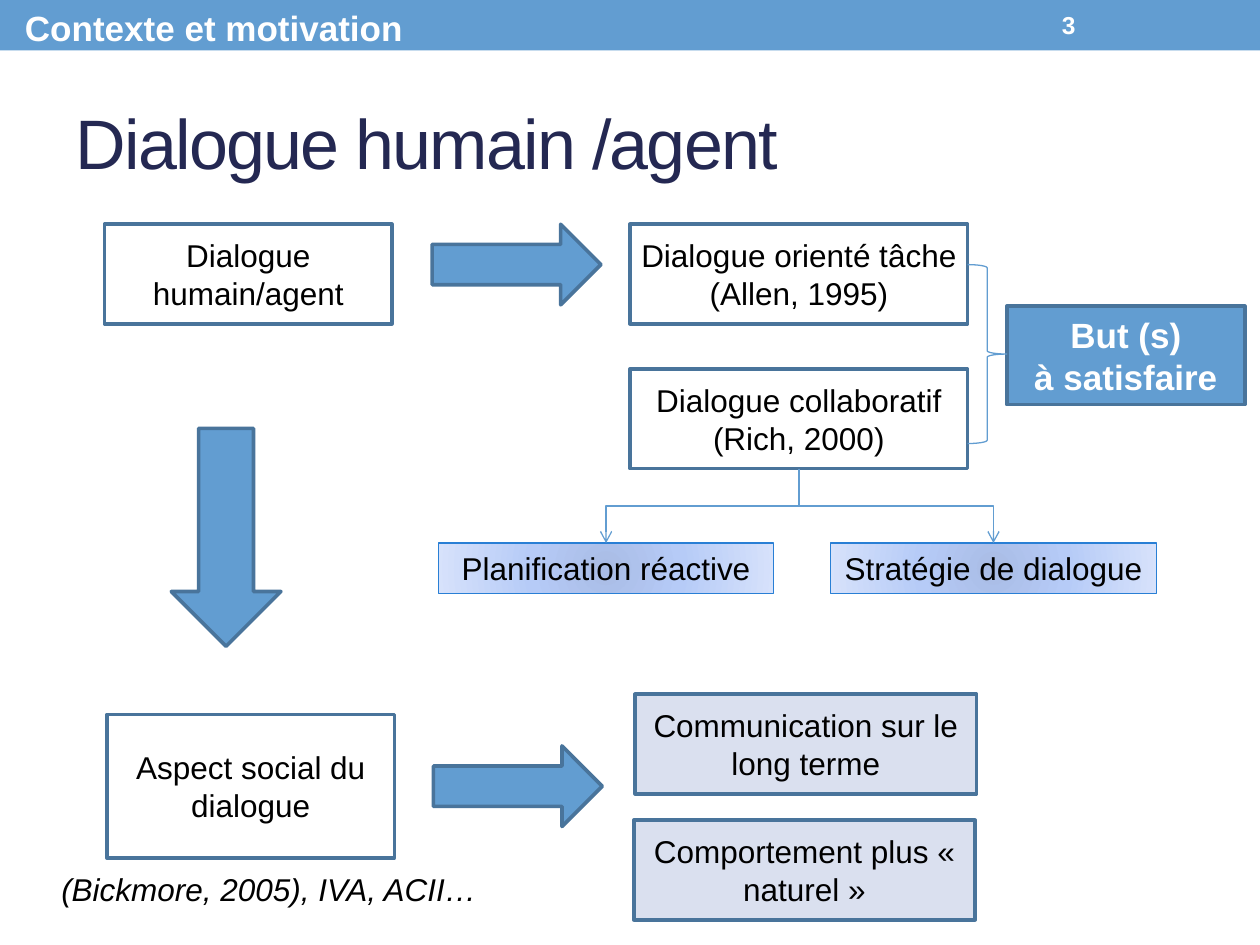
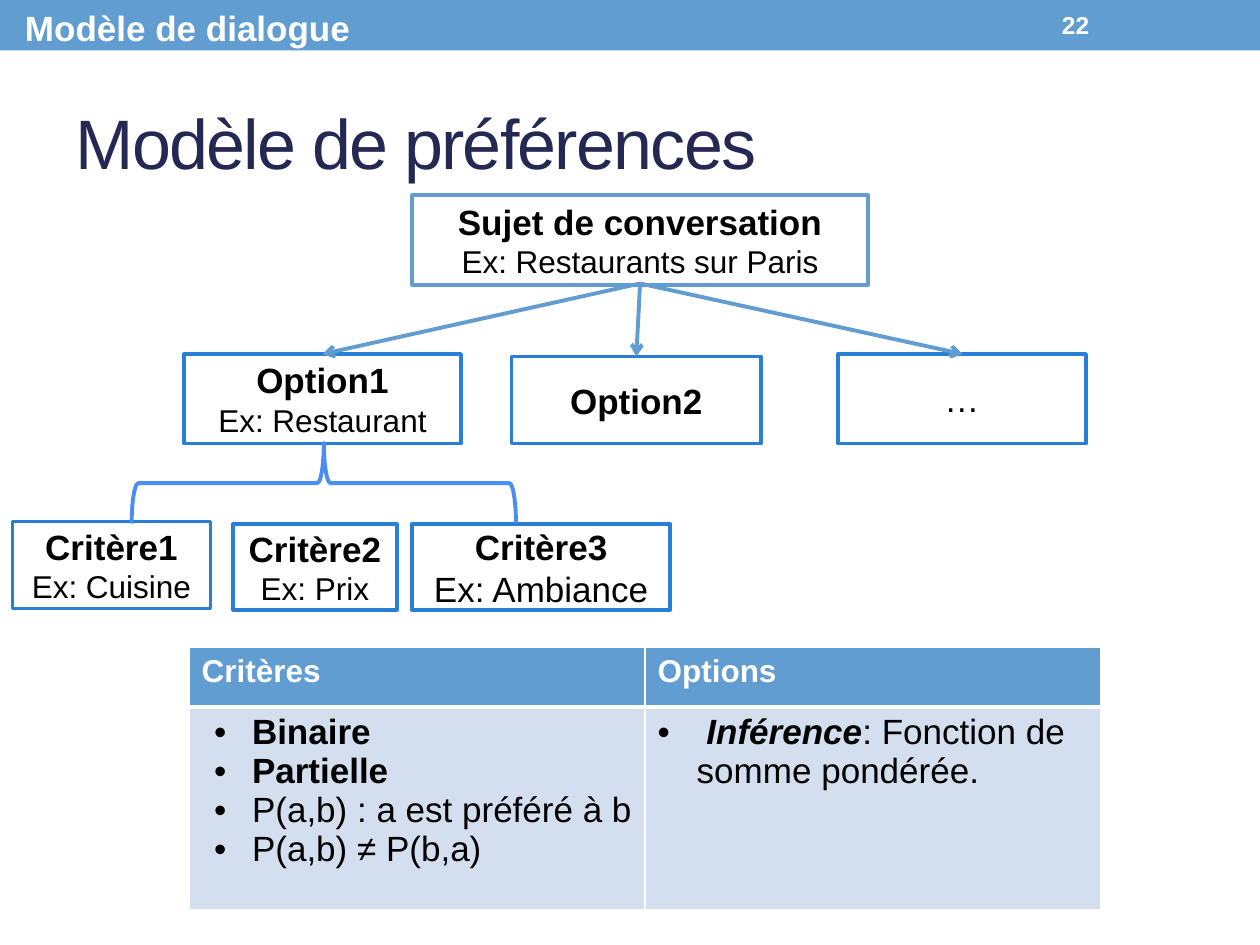
import pptx
import pptx.util
import pptx.dml.color
import pptx.enum.shapes
import pptx.enum.text
import pptx.oxml
import pptx.oxml.ns
import lxml.etree

Inches, Pt = pptx.util.Inches, pptx.util.Pt
RGB = pptx.dml.color.RGBColor.from_string
SHAPE = pptx.enum.shapes.MSO_SHAPE
LINK = pptx.enum.shapes.MSO_CONNECTOR
ALIGN, ANCHOR = pptx.enum.text.PP_ALIGN, pptx.enum.text.MSO_ANCHOR
qn = pptx.oxml.ns.qn
hue = {"blue": "629DD1", "edge": "49749B", "deep": "297FD5", "brace": "4A8EF2",
       "navy": "242852", "pale": "DAE0EF", "cell": "D3DFEE",
       "white": "FFFFFF", "black": "000000"}
FONT = "Arial"


def write(frame, rows, ink="black", align=ALIGN.CENTER):
    """Each row is (text, size, style), where style holds b and/or i."""
    frame.text = "\n".join(row[0] for row in rows)
    for para, (text, size, style) in zip(frame.paragraphs, rows):
        para.alignment = align
        for run in para.runs:
            run.font.name, run.font.size = FONT, Pt(size)
            run.font.bold, run.font.italic = "b" in style, "i" in style
            run.font.color.rgb = RGB(hue[ink])


def draw(page, kind, place, rows=(), fill=None, edge="edge", width=2.08, ink="black"):
    shape = page.shapes.add_shape(kind, *map(Inches, place))
    shape.shadow.inherit = False
    if fill:
        shape.fill.solid()
        shape.fill.fore_color.rgb = RGB(hue[fill])
    else:
        shape.fill.background()
    if edge:
        shape.line.color.rgb = RGB(hue[edge])
        shape.line.width = Pt(width)
    else:
        shape.line.fill.background()
    if rows:
        frame = shape.text_frame
        frame.word_wrap = True
        frame.vertical_anchor = ANCHOR.MIDDLE
        frame.margin_left = frame.margin_right = Inches(0.05)
        write(frame, rows, ink)
    return shape


deck = pptx.Presentation()
deck.slide_width, deck.slide_height = Inches(10), Inches(7.5)

# Shared band, section name, page number and title
pages = []
for part, number, name in [
        ("Contexte et motivation", "3", "Dialogue humain /agent"),
        ("Modèle de dialogue", "22", "Modèle de préférences")]:
    page = deck.slides.add_slide(deck.slide_layouts[5])
    pages.append(page)
    draw(page, SHAPE.RECTANGLE, (0, 0, 10, 0.4), fill="blue", edge=None)
    for text, size, place, anchor in [
            (part, 20, (0.1, 0, 3.4, 0.44), ANCHOR.TOP),
            (number, 14, (8.33, 0.02, 1.17, 0.36), ANCHOR.MIDDLE)]:
        note = page.shapes.add_textbox(*map(Inches, place)).text_frame
        note.word_wrap = True
        note.vertical_anchor = anchor
        write(note, [(text, size, "b")], "white", ALIGN.LEFT)
    title = page.shapes.title
    title.left, title.top = Inches(0.5), Inches(0.58)
    title.width, title.height = Inches(9), Inches(1.08)
    title.text_frame.vertical_anchor = ANCHOR.MIDDLE
    write(title.text_frame, [(name, 40, "")], "navy", ALIGN.LEFT)
    for run in title.text_frame.paragraphs[0].runs:
        run.font._element.set("spc", "-100")
talk, model = pages
links = []

# Dialogue slide: boxes
for lines, place, fill in [
        (["Dialogue humain/agent"], (0.83, 1.78, 2.28, 0.79), None),
        (["Dialogue orienté tâche (Allen, 1995)"], (5, 1.78, 2.68, 0.79), None),
        (["Dialogue collaboratif", "(Rich, 2000)"], (5, 2.93, 2.68, 0.79), None),
        (["Aspect social du dialogue"], (0.85, 5.67, 2.28, 1.14), None),
        (["Communication sur le long terme"], (5.04, 5.51, 2.71, 0.79), "pale"),
        (["Comportement plus « naturel »"], (5.03, 6.51, 2.71, 0.79), "pale")]:
    draw(talk, SHAPE.RECTANGLE, place, [(line, 18, "") for line in lines], fill)

# Dialogue slide: block arrows
for kind, place in [
        (SHAPE.DOWN_ARROW, (1.36, 3.4, 0.87, 1.73)),
        (SHAPE.RIGHT_ARROW, (3.43, 1.78, 1.34, 0.64)),
        (SHAPE.RIGHT_ARROW, (3.44, 5.92, 1.34, 0.64))]:
    draw(talk, kind, place, fill="blue")

# Dialogue slide: goal and its brace
draw(talk, SHAPE.RECTANGLE, (7.99, 2.43, 1.89, 0.78),
     [("But (s)", 20, "b"), ("à satisfaire", 20, "b")], "blue", ink="white")
draw(talk, SHAPE.RIGHT_BRACE, (7.68, 2.1, 0.31, 1.42), edge="blue", width=0.75)

# Dialogue slide: source line
cite = talk.shapes.add_textbox(*map(Inches, (0.37, 6.86, 3.53, 0.4))).text_frame
cite.word_wrap = False
write(cite, [("(Bickmore, 2005), IVA, ACII…", 18, "i")])

# Dialogue slide: shaded boxes, each reached by an elbow arrow
stops = "".join(f'<a:gs pos="{pos}000"><a:srgbClr val="{tint}"/></a:gs>'
                for pos, tint in [(0, "A9BCE5"), (45, "B6CBF7"), (100, "D7E2FB")])
shade = ('<a:gradFill xmlns:a="http://schemas.openxmlformats.org/drawingml/2006/main"'
         f' rotWithShape="1"><a:gsLst>{stops}</a:gsLst><a:path path="circle">'
         '<a:fillToRect l="100000" t="100000" r="100000" b="100000"/></a:path></a:gradFill>')
root, top, foot = 6.34, 3.72, 4.31
for text, left, width, turn in [
        ("Planification réactive", 3.48, 2.66, 90),
        ("Stratégie de dialogue", 6.59, 2.59, 270)]:
    box = draw(talk, SHAPE.RECTANGLE, (left, foot, width, 0.4),
               [(text, 18, "")], edge="deep", width=0.75)
    blank = box._element.spPr.find(qn("a:noFill"))
    blank.getparent().replace(blank, pptx.oxml.parse_xml(shade))
    # The elbow lies on its side, then turns about its centre
    goal = left + width / 2
    mid_x, mid_y = (root + goal) / 2, (top + foot) / 2
    half_w, half_h = (foot - top) / 2, abs(goal - root) / 2
    side = -1 if turn == 90 else 1
    link = talk.shapes.add_connector(
        LINK.ELBOW, Inches(mid_x + side * half_w), Inches(mid_y - half_h),
        Inches(mid_x - side * half_w), Inches(mid_y + half_h))
    link._element.spPr.find(qn("a:xfrm")).set("rot", str(turn * 60000))
    links.append((link, 0.75))

# Model slide: tree of topic, options and criteria
for head, sample, size, place, edge in [
        ("Sujet de conversation", "Ex: Restaurants sur Paris", 18,
         (3.27, 1.55, 3.62, 0.71), "blue"),
        ("Option1", "Ex: Restaurant", 18, (1.46, 2.81, 2.2, 0.71), "deep"),
        ("Option2", None, 18, (4.06, 2.83, 1.98, 0.69), "deep"),
        ("…", None, 18, (6.65, 2.81, 1.97, 0.71), "deep"),
        ("Critère1", "Ex: Cuisine", 18, (0.1, 4.14, 1.57, 0.69), "deep"),
        ("Critère2", "Ex: Prix", 18, (1.85, 4.16, 1.3, 0.68), "deep"),
        ("Critère3", "Ex: Ambiance", 20, (3.27, 4.16, 2.05, 0.68), "deep")]:
    rows = [(head, 20, "" if head == "…" else "b")]
    if sample:
        rows.append((sample, size, ""))
    draw(model, SHAPE.RECTANGLE, place, rows, "white", edge)
brace = draw(model, SHAPE.LEFT_BRACE, (2.25, 2.31, 0.64, 3.05), edge="brace", width=2.25)
brace.rotation = 90
for end_x, end_y in [(2.56, 2.81), (5.05, 2.83), (7.64, 2.81)]:
    link = model.shapes.add_connector(
        LINK.STRAIGHT, Inches(5.08), Inches(2.25), Inches(end_x), Inches(end_y))
    links.append((link, 2.25))

# Arrow style for every link
for link, width in links:
    link.line.color.rgb = RGB(hue["blue"])
    link.line.width = Pt(width)
    lxml.etree.SubElement(link.line._get_or_add_ln(), qn("a:tailEnd"), type="arrow")
    lxml.etree.SubElement(link._element.spPr, qn("a:effectLst"))

# Model slide: table of criteria and options
grid = model.shapes.add_table(2, 2, *map(Inches, (1.5, 5.14, 7.24, 2.08))).table
grid.horz_banding = False
grid.rows[0].height, grid.rows[1].height = Inches(0.47), Inches(1.61)
for col, text in enumerate(["Critères", "Options"]):
    write(grid.cell(0, col).text_frame, [(text, 18, "b")], "white", ALIGN.LEFT)
write(grid.cell(1, 0).text_frame,
      [("Binaire", 20, "b"), ("Partielle", 20, "b"),
       ("P(a,b) : a est préféré à b", 20, ""), ("P(a,b) ≠ P(b,a)", 20, "")],
      align=ALIGN.LEFT)
infer = grid.cell(1, 1).text_frame
write(infer, [(" Inférence", 20, "bi")], align=ALIGN.LEFT)
rest = infer.paragraphs[0].add_run()
rest.text = ": Fonction de somme pondérée."
rest.font.name, rest.font.size = FONT, Pt(20)
rest.font.bold = False
rest.font.color.rgb = RGB(hue["black"])

# Table bullets
for col, left, hang in [(0, 0.4, 0.3), (1, 0.31, 0.31)]:
    for para in grid.cell(1, col).text_frame.paragraphs:
        props = para._p.get_or_add_pPr()
        props.set("marL", str(Inches(left)))
        props.set("indent", str(-Inches(hang)))
        lxml.etree.SubElement(props, qn("a:buFont"), typeface=FONT)
        lxml.etree.SubElement(props, qn("a:buChar"), char="•")

# Table borders and fills
for row, fill in enumerate(["blue", "cell"]):
    for col in range(2):
        cell = grid.cell(row, col)
        props = cell._tc.get_or_add_tcPr()
        thick = "lnT" if row else "lnB"
        for side in ["lnL", "lnR", "lnT", "lnB"]:
            rule = lxml.etree.SubElement(props, qn("a:" + side),
                                         w=str(Pt(3 if side == thick else 1)))
            ink = lxml.etree.SubElement(rule, qn("a:solidFill"))
            lxml.etree.SubElement(ink, qn("a:srgbClr"), val=hue["white"])
        cell.fill.solid()
        cell.fill.fore_color.rgb = RGB(hue[fill])

deck.save("out.pptx")
